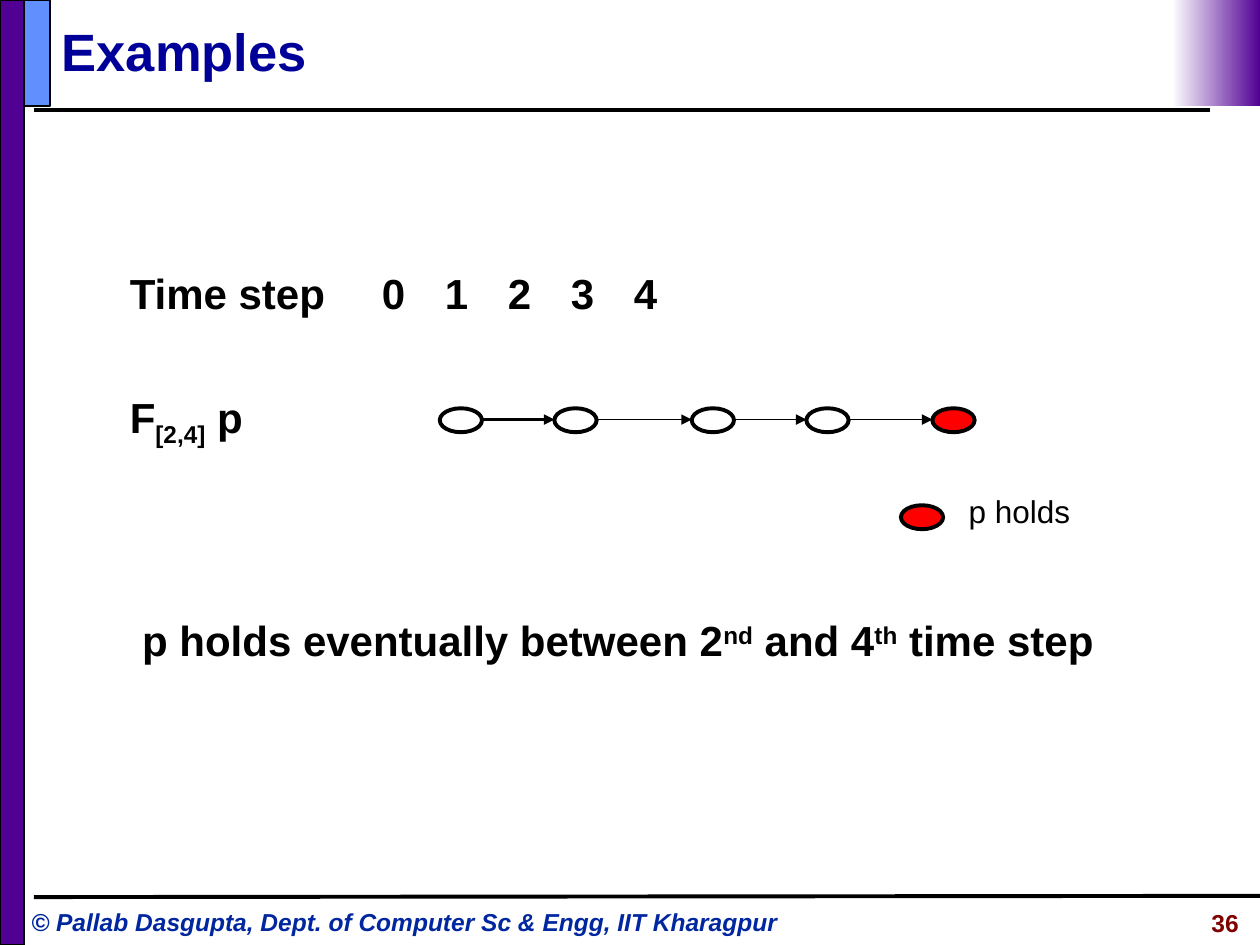
import pptx
import pptx.dml.color
import pptx.enum.shapes
import pptx.enum.text
import pptx.oxml.ns
import pptx.util
from lxml import etree

COLS, ROWS = 100, 75  # grid of 0.1 inch squares
SHAPE = pptx.enum.shapes.MSO_SHAPE
ALIGN = pptx.enum.text.PP_ALIGN
ANCHOR = pptx.enum.text.MSO_ANCHOR
NO_FIT = pptx.enum.text.MSO_AUTO_SIZE.NONE
BLACK, WHITE, RED, PURPLE = "000000", "FFFFFF", "FF0000", "500093"

NODE_W, NODE_H, NODE_Y, ARROW_Y = 3.35, 1.9, 32.4, 33.3
NODE_COLS = [34.9, 44, 54.9, 64, 74]


def grid(*cells):
    return [pptx.util.Inches(c / 10) for c in cells]


def color(value):
    return pptx.dml.color.RGBColor.from_string(value)


def apply(obj, values):
    for name, value in values.items():
        setattr(obj, name, value)


def sub(parent, tag, **attrs):
    return etree.SubElement(parent, pptx.oxml.ns.qn(tag), **attrs)


def add_runs(p, runs, size, ink, **font):
    """Add (text, baseline percent) runs that share one font."""
    for text, baseline in runs:
        r = p.add_run()
        r.text = text
        apply(r.font, dict(name="Arial", size=pptx.util.Pt(size), **font))
        r.font.color.rgb = color(ink)
        if baseline:
            r.font._element.set("baseline", str(baseline * 1000))


def add_text(s, at, runs, size, ink, align=ALIGN.LEFT, wrap=True, **font):
    tf = s.shapes.add_textbox(*grid(*at)).text_frame
    tf.word_wrap = wrap
    p = tf.paragraphs[0]
    p.alignment = align
    add_runs(p, runs, size, ink, **font)


def add_block(shapes, kind, at, fill, width=None):
    sp = shapes.add_shape(kind, *grid(*at))
    sp.shadow.inherit = False
    if isinstance(fill, str):
        sp.fill.solid()
        sp.fill.fore_color.rgb = color(fill)
    else:
        sp.fill.gradient()
        sp.fill.gradient_angle = 180
        for stop, value in zip(sp.fill.gradient_stops, fill):
            stop.color.rgb = color(value)
    if width is None:
        sp.line.fill.background()
    else:
        sp.line.color.rgb = color(BLACK)
        sp.line.width = pptx.util.Pt(width)


def add_node(shapes, x, y, fill):
    add_block(shapes, SHAPE.OVAL, (x, y, NODE_W, NODE_H), fill, 2.25)


def add_line(shapes, start, end, width, arrow=False):
    cxn = shapes.add_connector(pptx.enum.shapes.MSO_CONNECTOR.STRAIGHT,
                               *grid(*start, *end))
    cxn.line.color.rgb = color(BLACK)
    cxn.line.width = pptx.util.Pt(width)
    if arrow:
        sub(cxn.line._get_or_add_ln(), "a:tailEnd", type="triangle")
    sub(cxn._element.spPr, "a:effectLst")


def place(sp, at):
    apply(sp, dict(zip(("left", "top", "width", "height"), grid(*at))))
    apply(sp.text_frame, dict(auto_size=NO_FIT, word_wrap=True))
    return sp.text_frame


def add_frame(s):
    add_line(s.shapes, (2.7, 8.7), (96, 8.7), 2.25)
    add_block(s.shapes, SHAPE.RECTANGLE, (0, 0, 1.9, ROWS), PURPLE, 1)
    add_line(s.shapes, (2.7, 71.2), (COLS, 71.1), 2.25)
    add_block(s.shapes, SHAPE.RECTANGLE, (1.9, 0, 2.1, 8.4), "618FFD", 1)
    add_block(s.shapes, SHAPE.RECTANGLE, (93, 0, 7, 8.4), (PURPLE, WHITE))
    add_text(s, (1.5, 71.5, 63.7, 3.4),
             [("© Pallab Dasgupta, Dept. of Computer Sc & Engg, IIT Kharagpur", 0)],
             14, "00279F", bold=True, italic=True)
    add_text(s, (81.8, 71.6, 17.5, 3.5), [("36", 0)], 14, "800000",
             align=ALIGN.RIGHT, bold=True)


def fill_title(s):
    tf = place(s.shapes.title, (3.9, 1, 91, 6.1))
    tf.vertical_anchor = ANCHOR.MIDDLE
    p = tf.paragraphs[0]
    p.alignment = ALIGN.LEFT
    add_runs(p, [("Examples", 0)], 30, "000099", bold=True)


def fill_body(s):
    tf = place(s.placeholders[1], (4.3, 9.2, 91.6, 64))
    tf.margin_left, tf.margin_top = grid(6, 12)
    rows = [[("Time step\t0\t1\t2\t3\t4", 0)],
            [("F", 0), ("[2,4]", -25), (" p", 0)]]
    for i, runs in enumerate(rows):
        p = tf.add_paragraph() if i else tf.paragraphs[0]
        apply(p, dict(line_spacing=1.0, space_before=pptx.util.Pt(42 * i)))
        pPr = p._p.get_or_add_pPr()
        apply_indent = dict(marL="0", indent="0")
        for name, value in apply_indent.items():
            pPr.set(name, value)
        sub(pPr, "a:buNone")
        tabs = sub(pPr, "a:tabLst")
        for step in range(5):  # one tab stop per time step
            stop, = grid(23.1 + 10 * step)
            sub(tabs, "a:tab", pos=str(int(stop)), algn="l")
        add_runs(p, runs, 24, BLACK, bold=True)


def add_timeline(s):
    shapes = s.shapes.add_group_shape().shapes
    for x in NODE_COLS:
        add_node(shapes, x, NODE_Y, RED if x == NODE_COLS[-1] else WHITE)
    for i, (x, following) in enumerate(zip(NODE_COLS, NODE_COLS[1:])):
        add_line(shapes, (x + NODE_W, ARROW_Y), (following, ARROW_Y),
                 1 if i else 1.5, arrow=True)


def main():
    prs = pptx.Presentation()
    prs.slide_width, prs.slide_height = grid(COLS, ROWS)
    s = prs.slides.add_slide(prs.slide_layouts[1])
    add_frame(s)
    fill_title(s)
    fill_body(s)
    add_timeline(s)
    # Conclusion and legend
    add_text(s, (10.3, 48.3, 77.5, 5),
             [("p holds eventually between 2", 0), ("nd", 30), (" and 4", 0),
              ("th", 30), (" time step", 0)], 24, BLACK, wrap=False, bold=True)
    add_node(s.shapes, 71.5, 40.1, RED)
    add_text(s, (75.7, 38.6, 10.4, 4), [("p holds", 0)], 18, BLACK,
             align=ALIGN.CENTER)
    prs.save("out.pptx")


if __name__ == "__main__":
    main()
